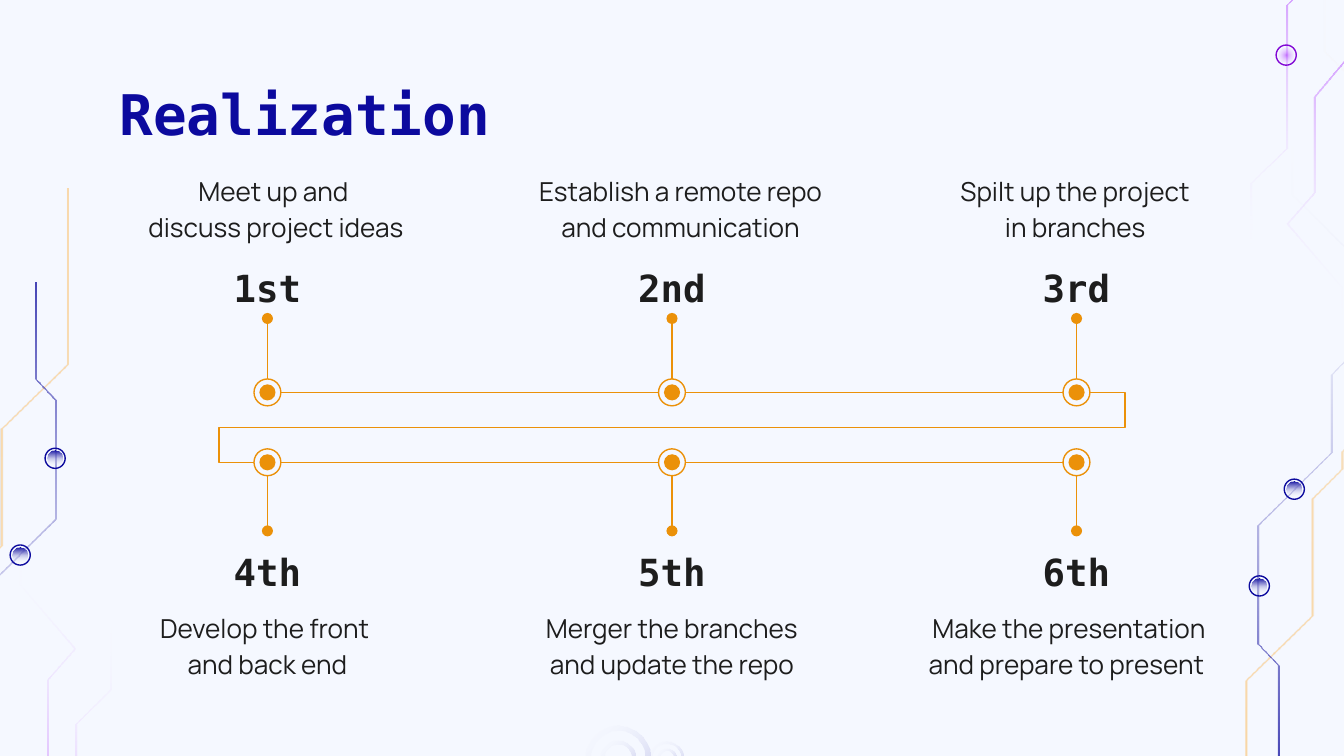
"""Build the Realization timeline slide."""
import pptx
import pptx.dml.color
import pptx.enum.shapes
import pptx.enum.text
import pptx.oxml.ns
import pptx.util
from dataclasses import dataclass
from lxml import etree

Inches = pptx.util.Inches
qn = pptx.oxml.ns.qn
SHAPE = pptx.enum.shapes.MSO_SHAPE
CONNECTOR = pptx.enum.shapes.MSO_CONNECTOR
ALIGN = pptx.enum.text.PP_ALIGN
ANCHOR = pptx.enum.text.MSO_ANCHOR


@dataclass(frozen=True)
class Theme:
    background: str = "F5F8FF"
    navy: str = "0C0A9E"
    violet: str = "8208D5"
    orange: str = "EB9109"
    ink: str = "1D1D1D"
    heading_font: str = "DejaVu Sans Mono"
    body_font: str = "Manrope"
    title_size: int = 30
    label_size: int = 20
    body_size: int = 14
    line_width: float = 0.75
    amber_fade: tuple = ((0, "FF9900", 36), (40, "FF9900", 30), (100, "FFFFFF", 0))
    navy_fade: tuple = ((0, "0C0A9E", 100), (100, "FFFFFF", 0))
    trace_fade: tuple = ((0, "0C0A9E", 75), (100, "FFFFFF", 0))
    violet_fade: tuple = ((0, "9900FF", 47), (100, "FFFFFF", 0))
    ring_fade: tuple = ((0, "0C0A9E", 20), (100, "FFFFFF", 0))


def rgb(color):
    return pptx.dml.color.RGBColor.from_string(color)


class SlideBuilder:
    def __init__(self, slide, theme):
        self.slide = slide
        self.theme = theme
        slide.background.fill.solid()
        slide.background.fill.fore_color.rgb = rgb(theme.background)

    def fade(self, sp, stops, angle):
        sp.fill.gradient()
        grad = sp._element.spPr.find(qn("a:gradFill"))
        gs_list = grad.find(qn("a:gsLst"))
        for gs in list(gs_list):
            gs_list.remove(gs)
        for position, color, alpha in stops:
            gs = etree.SubElement(gs_list, qn("a:gs"), pos=str(position * 1000))
            clr = etree.SubElement(gs, qn("a:srgbClr"), val=color)
            etree.SubElement(clr, qn("a:alpha"), val=str(alpha * 1000))
        if angle is None:
            grad.remove(grad.find(qn("a:lin")))
            radial = etree.SubElement(grad, qn("a:path"), path="circle")
            etree.SubElement(radial, qn("a:fillToRect"), l="50000", t="50000", r="50000", b="50000")
        else:
            sp.fill.gradient_angle = 360 - angle

    def ribbon(self, points, stops, angle):
        width = 0.015
        outline = points + [(x - width, y) for x, y in reversed(points)]
        corners = [(Inches(x), Inches(y)) for x, y in outline]
        builder = self.slide.shapes.build_freeform(*corners[0], scale=1.0)
        builder.add_line_segments(corners[1:], close=True)
        sp = builder.convert_to_shape()
        sp.shadow.inherit = False
        sp.line.fill.background()
        self.fade(sp, stops, angle)

    def disc(self, cx, cy, size, fill=None, line=None, stops=None, angle=90, kind=SHAPE.OVAL):
        sp = self.slide.shapes.add_shape(
            kind, Inches(cx - size / 2), Inches(cy - size / 2), Inches(size), Inches(size))
        sp.shadow.inherit = False
        if stops:
            self.fade(sp, stops, angle)
        elif fill:
            sp.fill.solid()
            sp.fill.fore_color.rgb = rgb(fill)
        else:
            sp.fill.background()
        if line:
            sp.line.color.rgb = rgb(line)
            sp.line.width = pptx.util.Pt(self.theme.line_width)
        else:
            sp.line.fill.background()
        return sp

    def node(self, cx, cy, line, stops, angle=90):
        self.disc(cx, cy, 0.15, line=line)
        self.disc(cx, cy, 0.11, stops=stops, angle=angle)

    def ring(self, cx, cy, size, thickness):
        sp = self.disc(cx, cy, size, stops=self.theme.ring_fade, angle=225, kind=SHAPE.DONUT)
        sp.adjustments[0] = thickness / size

    def milestone(self, cx, cy):
        self.disc(cx, cy, 0.2, line=self.theme.orange)
        self.disc(cx, cy, 0.12, fill=self.theme.orange)

    def connector(self, start, end, oval=False, bends=None):
        kind = CONNECTOR.ELBOW if bends else CONNECTOR.STRAIGHT
        sp = self.slide.shapes.add_connector(kind, *[Inches(v) for v in start + end])
        sp.line.color.rgb = rgb(self.theme.orange)
        sp.line.width = pptx.util.Pt(self.theme.line_width)
        props = sp._element.spPr
        if oval:
            etree.SubElement(props.find(qn("a:ln")), qn("a:headEnd"), type="oval")
        etree.SubElement(props, qn("a:effectLst"))
        if bends:
            geom = props.find(qn("a:prstGeom"))
            geom.set("prst", "bentConnector5")
            for i, bend in enumerate(bends, 1):
                etree.SubElement(geom.find(qn("a:avLst")), qn("a:gd"),
                                 name=f"adj{i}", fmla=f"val {round(bend * 100000)}")

    def text(self, box, lines, font, size, color, bold=False,
             align=ALIGN.CENTER, anchor=ANCHOR.TOP, spacing=1.15):
        tf = self.slide.shapes.add_textbox(*[Inches(v) for v in box]).text_frame
        tf.word_wrap = True
        tf.vertical_anchor = anchor
        tf.margin_left = tf.margin_right = tf.margin_top = tf.margin_bottom = Inches(0.1)
        for i, line in enumerate(lines):
            p = tf.add_paragraph() if i else tf.paragraphs[0]
            p.alignment = align
            p.line_spacing = spacing
            r = p.add_run()
            r.text = line
            r.font.name = font
            r.font.size = pptx.util.Pt(size)
            r.font.bold = bold
            r.font.color.rgb = rgb(color)


AMBER_TRACE = [(0.51, 1.4), (0.51, 2.71), (0.02, 3.19), (0.02, 4.06), (-0.2, 4.28),
               (-0.2, 4.41), (-0.32, 4.53), (-0.32, 5.08), (-0.56, 5.32), (-0.56, 5.67),
               (-0.73, 5.84), (-0.73, 6.72), (-0.07, 7.38), (-0.07, 8.15)]
NAVY_TRACE = [(0.27, 2.1), (0.27, 2.82), (0.42, 2.98), (0.42, 3.86), (-0.12, 4.4),
              (-0.12, 4.98), (-0.36, 5.23), (-0.36, 5.79), (0.17, 6.32), (0.17, 6.71)]
VIOLET_TRACES = [
    [(0.21, 6.81), (0.57, 6.45), (0.57, 5.39), (0.83, 5.13), (0.83, 4.65)],
    [(-0.18, 6.42), (0.36, 5.77), (0.36, 5.06), (0.56, 4.83), (0.16, 4.36), (0.16, 4.13)]]
NODES = [(0.41, 3.41), (0.15, 4.13)]
RINGS = [(4.6, 0.48, 0.04), (4.6, 0.26, 0.03), (4.96, 0.25, 0.02), (4.96, 0.14, 0.02)]
COLUMNS = [1.99, 5, 8.01]
UPPER, LOWER, RADIUS = 2.92, 3.44, 0.1
UPPER_STEPS = [("1st", 0.79, 2.53, ["Meet up and ", "discuss project ideas"]),
               ("2nd", 3.8, 2.53, ["Establish a remote repo and communication"]),
               ("3rd", 6.82, 2.4, ["Spilt up the project ", "in branches "])]
LOWER_STEPS = [("4th", 0.79, 2.4, ["Develop the front ", "and back end"]),
               ("5th", 3.8, 2.4, ["Merger the branches and update the repo"]),
               ("6th", 6.7, 2.51, ["Make the presentation and prepare to present "])]


def half_turn(points, sum_x, sum_y):
    return [(sum_x - x, sum_y - y) for x, y in points]


def draw_circuits(b):
    t = b.theme
    for turned in (False, True):
        def place(points, sums):
            return half_turn(points, *sums) if turned else points
        main, side = (9.79, 7.77), (10.15, 6.49)
        b.ribbon(place(AMBER_TRACE, main), t.amber_fade, 270 if turned else 90)
        b.ribbon(place(NAVY_TRACE, main), t.trace_fade, 270 if turned else 90)
        for trace in VIOLET_TRACES:
            b.ribbon(place(trace, side), t.violet_fade, 90 if turned else 270)
        for cx, cy in place(NODES, (9.78, 7.77)):
            b.node(cx, cy, t.navy, t.navy_fade)
    b.node(9.57, 0.41, t.violet, t.violet_fade, angle=None)
    for cx, size, thickness in RINGS:
        b.ring(cx, 5.64, size, thickness)


def draw_steps(b, steps, label_top, label_anchor, body_top, body_anchor):
    t = b.theme
    for cx, (label, left, width, lines) in zip(COLUMNS, steps):
        b.text((left, body_top, width, 0.63), lines, t.body_font, t.body_size, t.ink,
               anchor=body_anchor)
        b.text((cx - 0.55, label_top, 1.1, 0.55), [label], t.heading_font, t.label_size,
               t.ink, bold=True, anchor=label_anchor)


def draw_timeline(b):
    for y, tip, side in ((UPPER, 2.37, -1), (LOWER, 3.95, 1)):
        for cx in COLUMNS:
            b.connector((cx, tip), (cx, y + side * RADIUS), oval=True)
            b.milestone(cx, y)
        for x1, x2 in zip(COLUMNS, COLUMNS[1:]):
            b.connector((x1 + RADIUS, y), (x2 - RADIUS, y))
    b.connector((COLUMNS[-1] + RADIUS, UPPER), (COLUMNS[0] - RADIUS, LOWER),
                bends=(-0.042, 0.5, 1.042))


def main():
    prs = pptx.Presentation()
    prs.slide_width, prs.slide_height = Inches(10), Inches(10 * 9 / 16)
    theme = Theme()
    b = SlideBuilder(prs.slides.add_slide(prs.slide_layouts[6]), theme)
    draw_circuits(b)
    b.text((0.79, 0.49, 8.43, 0.63), ["Realization"], theme.heading_font, theme.title_size,
           theme.navy, bold=True, align=ALIGN.LEFT, spacing=1.0)
    draw_steps(b, UPPER_STEPS, 1.82, ANCHOR.TOP, 1.28, ANCHOR.BOTTOM)
    draw_steps(b, LOWER_STEPS, 3.95, ANCHOR.MIDDLE, 4.42, ANCHOR.TOP)
    draw_timeline(b)
    prs.save("out.pptx")


if __name__ == "__main__":
    main()
